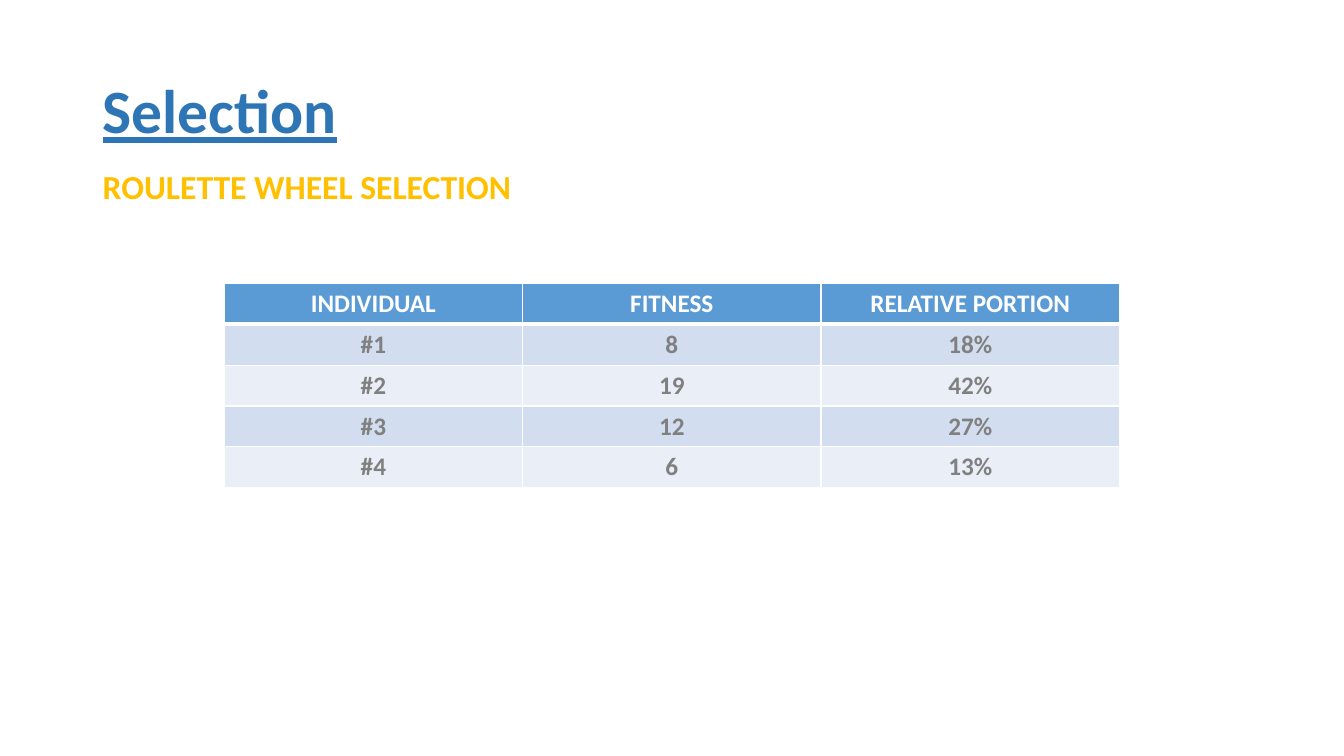
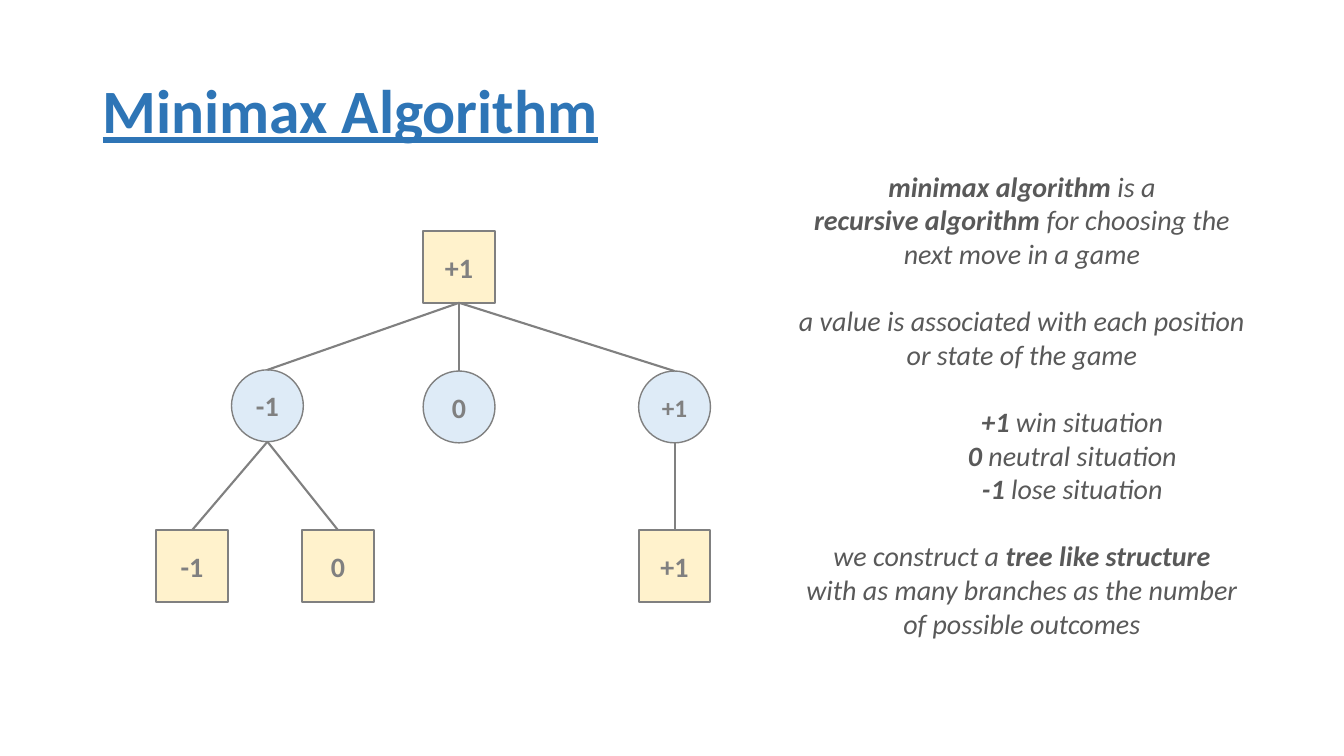
from lxml import etree
from pptx import Presentation
from pptx.dml.color import RGBColor
from pptx.enum.shapes import MSO_CONNECTOR, MSO_SHAPE
from pptx.enum.text import MSO_ANCHOR, PP_ALIGN
from pptx.oxml.ns import qn
from pptx.util import Cm, Pt

FONT = "Calibri"
COLORS = {
    "title": "2E75B6",
    "subtitle": "FFC000",
    "white": "FFFFFF",
    "gray": "808080",
    "body": "595959",
    "header": "5B9BD5",
    "odd_row": "D2DEEF",
    "even_row": "EAEFF7",
    "max_node": "FFF2CC",
    "min_node": "DEEBF7",
}
SELECTION_ROWS = [
    ("INDIVIDUAL", "FITNESS", "RELATIVE PORTION"),
    ("#1", "8", "18%"),
    ("#2", "19", "42%"),
    ("#3", "12", "27%"),
    ("#4", "6", "13%"),
]
NODE_SIZE = 1.81
# name: (value, kind, centre x, top y, parent), relative to the tree's corner
TREE_NODES = {
    "root": ("+1", "max", 7.63, 0, None),
    "lose": ("-1", "min", 2.8, 3.5, "root"),
    "neutral": ("0", "min", 7.63, 3.53, "root"),
    "win": ("+1", "min", 13.06, 3.53, "root"),
    "lose_lose": ("-1", "max", 0.9, 7.54, "lose"),
    "lose_neutral": ("0", "max", 4.58, 7.54, "lose"),
    "win_win": ("+1", "max", 13.06, 7.54, "win"),
}
# blocks of lines; each line is a list of (text, bold) runs
EXPLANATION = [
    [
        [("minimax algorithm", True), (" is a", False)],
        [("recursive algorithm ", True), ("for choosing the", False)],
        [("next move in a game", False)],
    ],
    [
        [("a value is associated with each position", False)],
        [("or state of the game", False)],
    ],
    [
        [("+1", True), (" win situation", False)],
        [("0", True), (" neutral situation", False)],
        [("-1", True), (" lose situation", False)],
    ],
    [
        [("we construct a ", False), ("tree like structure", True)],
        [("with as many branches as the number", False)],
        [("of possible outcomes", False)],
    ],
]
INDENTED_BLOCK = 2


def rgb(name):
    return RGBColor.from_string(COLORS[name])


def write(paragraph, text, size=20, color="gray", bold=True, italic=False,
          underline=False, align=PP_ALIGN.CENTER):
    paragraph.alignment = align
    run = paragraph.add_run()
    run.text = text
    font = run.font
    font.name, font.size = FONT, Pt(size)
    font.bold, font.italic, font.underline = bold, italic, underline
    font.color.rgb = rgb(color)


def add_text_frame(slide, left, top, width, height):
    frame = slide.shapes.add_textbox(Cm(left), Cm(top), Cm(width), Cm(height)).text_frame
    frame.word_wrap = True
    return frame


def add_title(slide, title):
    frame = add_text_frame(slide, 2.34, 1.02, 29.21, 3.68)
    frame.vertical_anchor = MSO_ANCHOR.MIDDLE
    heading = frame.paragraphs[0]
    heading.line_spacing = 0.9
    write(heading, title, size=44, color="title", underline=True, align=PP_ALIGN.LEFT)


def set_borders(cell, bottom_width):
    """Draw white borders, which must precede the fill in the cell properties."""
    properties = cell._tc.get_or_add_tcPr()
    for position, (side, width) in enumerate(
            [("lnL", 1), ("lnR", 1), ("lnT", 1), ("lnB", bottom_width)]):
        border = etree.Element(qn(f"a:{side}"), w=str(Pt(width)))
        fill = etree.SubElement(border, qn("a:solidFill"))
        etree.SubElement(fill, qn("a:srgbClr"), val=COLORS["white"])
        properties.insert(position, border)


def add_selection_table(slide, left, top, column_width, row_height):
    row_count, column_count = len(SELECTION_ROWS), len(SELECTION_ROWS[0])
    table = slide.shapes.add_table(
        row_count, column_count, Cm(left), Cm(top),
        Cm(column_width * column_count), Cm(row_height * row_count)).table
    for column in table.columns:
        column.width = Cm(column_width)
    for row_index, values in enumerate(SELECTION_ROWS):
        table.rows[row_index].height = Cm(row_height)
        is_header = row_index == 0
        band = "header" if is_header else "odd_row" if row_index % 2 else "even_row"
        for column_index, value in enumerate(values):
            cell = table.cell(row_index, column_index)
            cell.fill.solid()
            cell.fill.fore_color.rgb = rgb(band)
            set_borders(cell, 3 if is_header else 1)
            write(cell.text_frame.paragraphs[0], value, size=18,
                  color="white" if is_header else "gray")


def add_node(slide, value, kind, left, top, size):
    preset = MSO_SHAPE.RECTANGLE if kind == "max" else MSO_SHAPE.OVAL
    node = slide.shapes.add_shape(preset, Cm(left), Cm(top), Cm(NODE_SIZE), Cm(NODE_SIZE))
    node.shadow.inherit = False
    node.fill.solid()
    node.fill.fore_color.rgb = rgb(f"{kind}_node")
    node.line.color.rgb = rgb("gray")
    node.line.width = Pt(1.5 if kind == "max" else 1)
    node.text_frame.vertical_anchor = MSO_ANCHOR.MIDDLE
    node.text_frame.margin_left = node.text_frame.margin_right = 0
    write(node.text_frame.paragraphs[0], value, size=size)
    return node


def add_branch(slide, parent, child):
    """Join the bottom of the parent to the top of the child."""
    branch = slide.shapes.add_connector(
        MSO_CONNECTOR.STRAIGHT,
        parent.left + parent.width // 2, parent.top + parent.height,
        child.left + child.width // 2, child.top)
    branch.line.color.rgb = rgb("gray")
    branch.line.width = Pt(1.5)
    etree.SubElement(branch._element.spPr, qn("a:effectLst"))


def add_tree(slide, left, top):
    nodes = {}
    for name, (value, kind, center, node_top, parent) in TREE_NODES.items():
        nodes[name] = add_node(slide, value, kind, left + center - NODE_SIZE / 2,
                               top + node_top, size=18 if name == "win" else 20)
        if parent:
            add_branch(slide, nodes[parent], nodes[name])


def add_explanation(slide, left, top, width, height):
    frame = add_text_frame(slide, left, top, width, height)
    frame.margin_left = frame.margin_right = 0
    for block_index, block in enumerate(EXPLANATION):
        for line_index, runs in enumerate(block):
            starts_block = line_index == 0
            is_first = starts_block and block_index == 0
            line = frame.paragraphs[0] if is_first else frame.add_paragraph()
            if block_index == INDENTED_BLOCK:
                line._p.get_or_add_pPr().set("marL", str(Cm(2.54)))
            if starts_block and not is_first:
                line.space_before = Pt(24)
            for text, bold in runs:
                write(line, text, color="body", bold=bold, italic=True)


def build_selection_slide(slide):
    add_title(slide, "Selection")
    subtitle = add_text_frame(slide, 2.34, 4.06, 12, 1.27).paragraphs[0]
    write(subtitle, "ROULETTE WHEEL SELECTION", size=24, color="subtitle", align=PP_ALIGN.LEFT)
    add_selection_table(slide, 5.65, 7.14, column_width=7.52, row_height=1.03)


def build_minimax_slide(slide):
    add_title(slide, "Minimax Algorithm")
    add_tree(slide, 3.94, 5.82)
    add_explanation(slide, 19.81, 4.14, 11.89, 12.22)


def main():
    deck = Presentation()
    deck.slide_width, deck.slide_height = Cm(33.87), Cm(19.05)
    blank = deck.slide_layouts[6]
    for build in (build_selection_slide, build_minimax_slide):
        build(deck.slides.add_slide(blank))
    deck.save("out.pptx")


if __name__ == "__main__":
    main()
